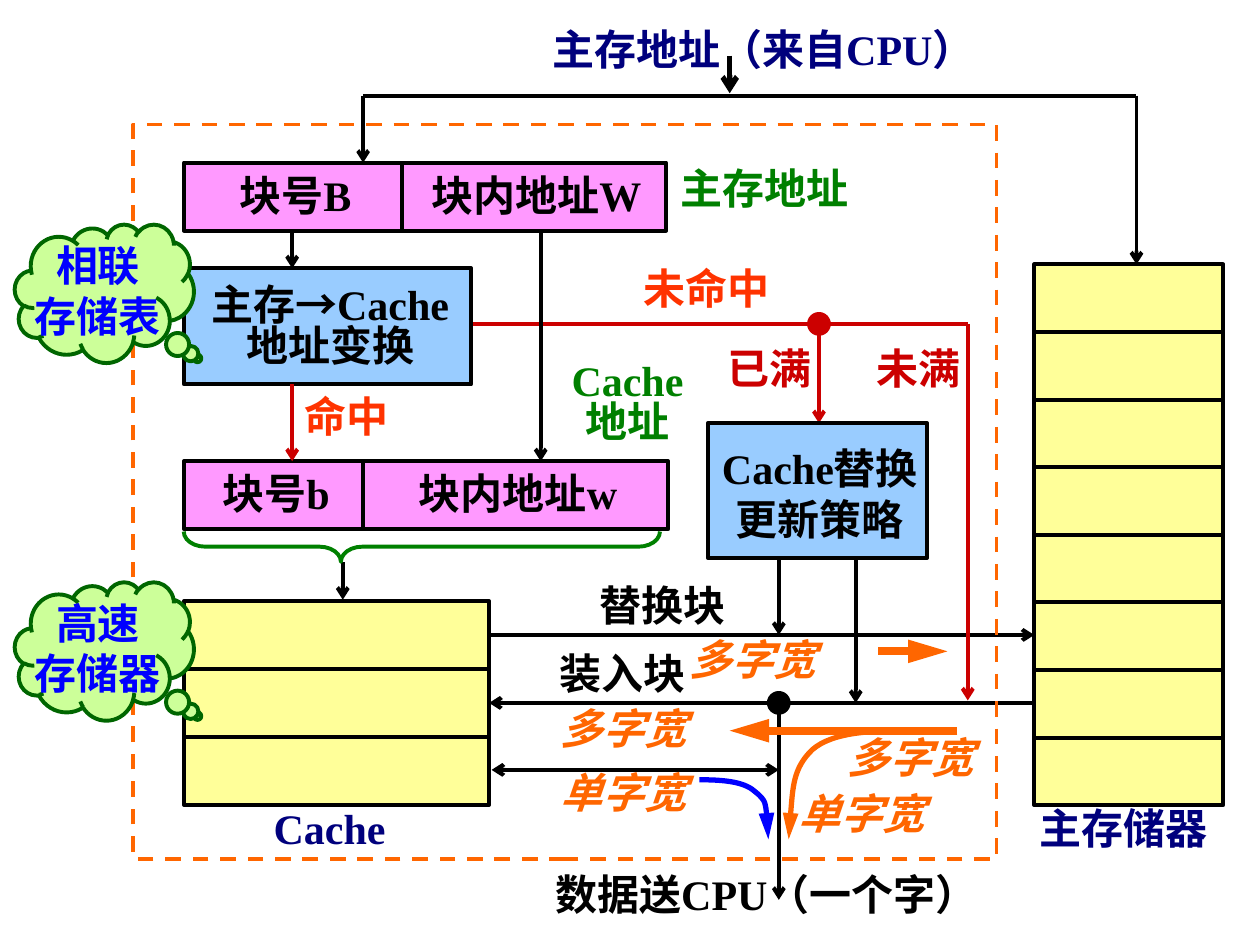
from dataclasses import dataclass

from lxml import etree
from pptx import Presentation
from pptx.dml.color import RGBColor
from pptx.enum.dml import MSO_LINE
from pptx.enum.shapes import MSO_CONNECTOR, MSO_SHAPE
from pptx.enum.text import MSO_ANCHOR, PP_ALIGN
from pptx.oxml.ns import qn
from pptx.util import Cm, Pt

BLACK = RGBColor(0x00, 0x00, 0x00)
NAVY = RGBColor(0x00, 0x00, 0x7D)
BLUE = RGBColor(0x00, 0x00, 0xFF)
GREEN = RGBColor(0x00, 0x80, 0x00)
DARK_GREEN = RGBColor(0x00, 0x66, 0x00)
RED = RGBColor(0xCC, 0x00, 0x00)
SCARLET = RGBColor(0xFF, 0x33, 0x00)
ORANGE = RGBColor(0xFF, 0x66, 0x00)
PINK = RGBColor(0xFF, 0x99, 0xFF)
SKY = RGBColor(0x99, 0xCC, 0xFF)
YELLOW = RGBColor(0xFF, 0xFF, 0x99)
LIME = RGBColor(0xCC, 0xFF, 0x99)

LATIN_FONT = "Times New Roman"
CJK_FONT = "Noto Sans CJK SC"
ROW = 1.37  # height of one address or memory row
LABEL_INSETS = (0.2, 0.1, 0.1, 0)  # left, top, right, bottom
CLOUD_INSETS = (0.25, 0.13, 0.25, 0.13)


@dataclass
class Region:
    """A part of the slide; everything in it is placed from its corner, in cm."""
    shapes: object
    left: float
    top: float

    def at(self, x, y):
        return Cm(self.left + x), Cm(self.top + y)


def write(shape, text, color=BLACK, spacing=0.8, align=PP_ALIGN.CENTER, italic=False,
          insets=LABEL_INSETS):
    frame = shape.text_frame
    frame.text = text
    frame.word_wrap = False
    frame.vertical_anchor = MSO_ANCHOR.MIDDLE
    (frame.margin_left, frame.margin_top,
     frame.margin_right, frame.margin_bottom) = map(Cm, insets)
    for paragraph in frame.paragraphs:
        paragraph.alignment = align
        paragraph.line_spacing = spacing
        font = paragraph.font
        font.name, font.size, font.bold, font.italic = LATIN_FONT, Pt(24), True, italic
        font.color.rgb = color


def label(region, x, y, width, text, color=BLACK, height=ROW, **style):
    textbox = region.shapes.add_textbox(*region.at(x, y), Cm(width), Cm(height))
    write(textbox, text, color, **style)


def block(region, x, y, width, height, fill=None, line=BLACK, kind=MSO_SHAPE.RECTANGLE):
    shape = region.shapes.add_shape(kind, *region.at(x, y), Cm(width), Cm(height))
    shape.shadow.inherit = False
    if fill is None:
        shape.fill.background()
    else:
        shape.fill.solid()
        shape.fill.fore_color.rgb = fill
    shape.line.color.rgb = line
    shape.line.width = Pt(2.25)
    return shape


def dot(region, x, y, color):
    block(region, x - 0.2, y - 0.2, 0.4, 0.4, color, color, MSO_SHAPE.OVAL)


def stroke(shape, color, weight, head=None, tail=None):
    shape.line.color.rgb = color
    shape.line.width = Pt(weight)
    for tag, end in (("a:headEnd", head), ("a:tailEnd", tail)):
        if end:
            length = "lg" if end == "triangle" else "med"
            etree.SubElement(shape.line._get_or_add_ln(), qn(tag), type=end, len=length)


def line(region, start, end, color=BLACK, weight=2.25, head=None, tail=None):
    connector = region.shapes.add_connector(
        MSO_CONNECTOR.STRAIGHT, *region.at(*start), *region.at(*end))
    stroke(connector, color, weight, head, tail)
    etree.SubElement(connector._element.spPr, qn("a:effectLst"))


def arrow(region, start, end, color=BLACK, weight=2.25, head=None, tail="arrow"):
    line(region, start, end, color, weight, head, tail)


def curved_arrow(region, start, controls, color):
    """Bezier arrow; controls holds three points for each curve segment."""
    builder = region.shapes.build_freeform(*region.at(*start))
    builder.add_line_segments([region.at(*point) for point in controls], close=False)
    curve = builder.convert_to_shape()
    curve.shadow.inherit = False
    curve.fill.background()
    stroke(curve, color, 3, tail="triangle")
    outline = next(curve._element.iter(qn("a:path")))
    segments = outline.findall(qn("a:lnTo"))
    for first in range(0, len(segments), 3):
        bezier = etree.SubElement(outline, qn("a:cubicBezTo"))
        for segment in segments[first:first + 3]:
            bezier.append(segment[0])
            outline.remove(segment)


def address_bar(region, y, fields):
    x = 0
    for text, width in fields:
        write(block(region, x, y, width, ROW, PINK), text)
        x += width


def memory_stack(region, width, rows, height, name, name_x, name_y):
    row_height = height / rows
    for row in range(rows):
        block(region, 0, row * row_height, width, row_height, YELLOW)
    label(region, name_x, name_y, 4.19, name, NAVY)


def address_source(region):
    line(region, (0, 1.6), (15.59, 1.6))
    arrow(region, (0, 1.6), (0, 2.95))
    arrow(region, (15.59, 1.6), (15.59, 5))
    arrow(region, (7.39, 0.79), (7.39, 1.55), weight=3)
    label(region, 3.32, 0, 9.4, "主存地址（来自CPU）", NAVY, height=1.19, spacing=1)


def address_translation(region):
    address_bar(region, 0, [("块号B", 4.39), ("块内地址W", 5.33)])
    address_bar(region, 6.02, [("块号b", 3.61), ("块内地址w", 6.15)])
    mapping = block(region, 0, 2.13, 5.79, 2.34, SKY)
    write(mapping, "主存")
    paragraph = mapping.text_frame.paragraphs[0]
    to_sign = paragraph.add_run()
    to_sign.text = "→"
    to_sign.font.name = CJK_FONT
    paragraph.add_run().text = "Cache"
    paragraph.add_line_break()
    paragraph.add_run().text = "地址变换"

    arrow(region, (2.18, ROW), (2.18, 2.13))
    arrow(region, (2.18, 4.47), (2.18, 6.02), RED)
    arrow(region, (7.19, ROW), (7.19, 6.02))
    arrow(region, (3.2, 8.05), (3.2, 8.81))
    brace = block(region, 4.49, 2.94, 0.61, 9.6, line=GREEN, kind=MSO_SHAPE.LEFT_BRACE)
    brace.rotation = 270
    brace.adjustments[0], brace.adjustments[1] = 0.71, 0.33
    label(region, 2.06, 4.47, 2.34, "命中", SCARLET)
    label(region, 9.8, -0.13, 3.99, "主存地址", GREEN, align=PP_ALIGN.LEFT)
    label(region, 7.39, 3.83, 3, "Cache\n地址", GREEN, height=2.01)


def miss_handling(region):
    line(region, (0, 0), (10.01, 0), RED)
    arrow(region, (10.01, 0), (10.01, 7.59), RED)
    arrow(region, (7.01, 0), (7.01, 2), RED)
    dot(region, 7.01, 0, RED)
    policy = block(region, 4.77, 2, 4.42, 2.72, SKY)
    write(policy, "Cache替换\n更新策略", spacing=1)
    arrow(region, (6.2, 4.72), (6.2, 6.27))
    arrow(region, (7.75, 4.72), (7.75, 7.64))
    label(region, 2.79, -1.37, 3.81, "未命中", SCARLET)
    label(region, 4.8, 0.25, 2.34, "已满", RED)
    label(region, 7.8, 0.25, 2.34, "未满", RED)


def data_transfers(region):
    arrow(region, (0, 0), (10.99, 0))
    arrow(region, (10.99, ROW), (0, ROW))
    arrow(region, (0.05, 2.72), (5.84, 2.72), head="arrow")
    arrow(region, (5.84, ROW), (5.84, 5.34))
    dot(region, 5.84, ROW, BLACK)
    label(region, 1.65, -1.24, 3.61, "替换块")
    label(region, 0.83, 0.13, 3.61, "装入块")
    label(region, 0.34, 4.57, 10.4, "数据送CPU（一个字）")
    for text, x, y in [("多字宽", 3.45, 0.03), ("多字宽", 0.86, 1.42), ("单字宽", 0.86, 2.72),
                       ("多字宽", 6.65, 2.01), ("单字宽", 5.66, 3.13)]:
        label(region, x, y, 3.61, text, ORANGE, height=0.99, italic=True)
    arrow(region, (9.44, 1.93), (4.85, 1.93), ORANGE, 4.5, tail="triangle")
    arrow(region, (7.84, 0.33), (9.24, 0.33), ORANGE, 4.5, tail="triangle")
    curved_arrow(region, (8.45, 1.93), [(7.69, 1.93), (6.93, 1.96), (6.52, 2.31),
                                        (6.12, 2.69), (6.09, 3.41), (6.04, 4.12)], ORANGE)
    curved_arrow(region, (4.24, 2.92), [(4.69, 2.92), (5.13, 2.95), (5.35, 3.15),
                                        (5.61, 3.35), (5.63, 3.74), (5.63, 4.12)], BLUE)


def thought_cloud(region, text):
    cloud = block(region, 0, 0, 3.61, 2.79, LIME, DARK_GREEN, MSO_SHAPE.CLOUD_CALLOUT)
    cloud.adjustments[0], cloud.adjustments[1] = 0.52, 0.47
    write(cloud, text, BLUE, spacing=1, insets=CLOUD_INSETS)


def main():
    prs = Presentation()
    prs.slide_width, prs.slide_height = Cm(25.4), Cm(19.05)
    shapes = prs.slides.add_slide(prs.slide_layouts[6]).shapes

    data_transfers(Region(shapes, 9.86, 12.8))
    miss_handling(Region(shapes, 9.5, 6.53))
    address_translation(Region(shapes, 3.71, 3.28))
    memory_stack(Region(shapes, 3.71, 12.12), 6.15, 3, 4.11, "Cache", 0.79, 3.93)
    memory_stack(Region(shapes, 20.85, 5.33), 3.81, 8, 10.9, "主存储器", -0.35, 10.72)
    address_source(Region(shapes, 7.32, 0.33))
    cache_system = block(Region(shapes, 2.69, 2.51), 0, 0, 17.4, 14.81, line=ORANGE)
    cache_system.line.dash_style = MSO_LINE.DASH
    thought_cloud(Region(shapes, 0.3, 4.52), "相联\v存储表")
    thought_cloud(Region(shapes, 0.3, 11.73), "高速\v存储器")
    prs.save("out.pptx")


if __name__ == "__main__":
    main()
